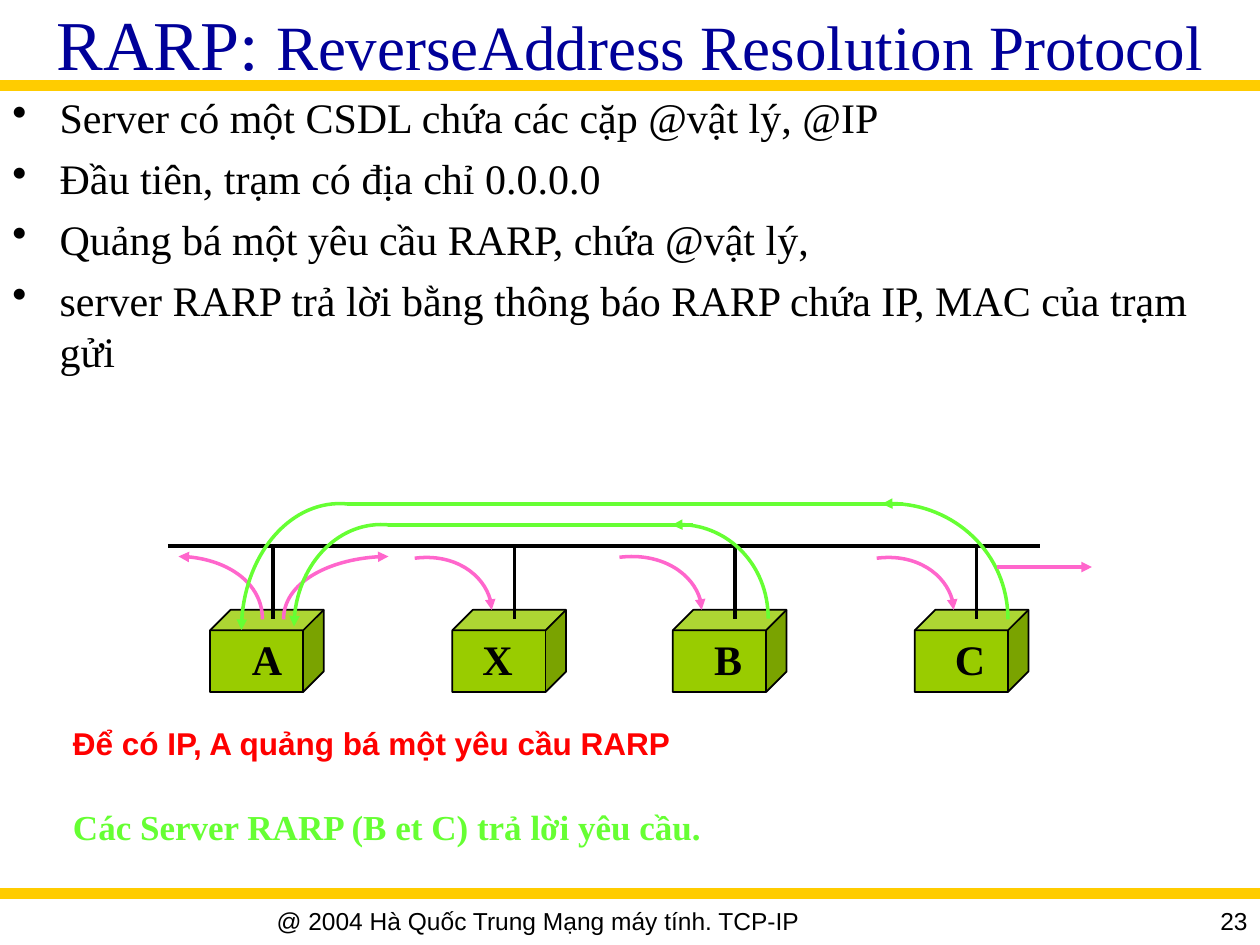
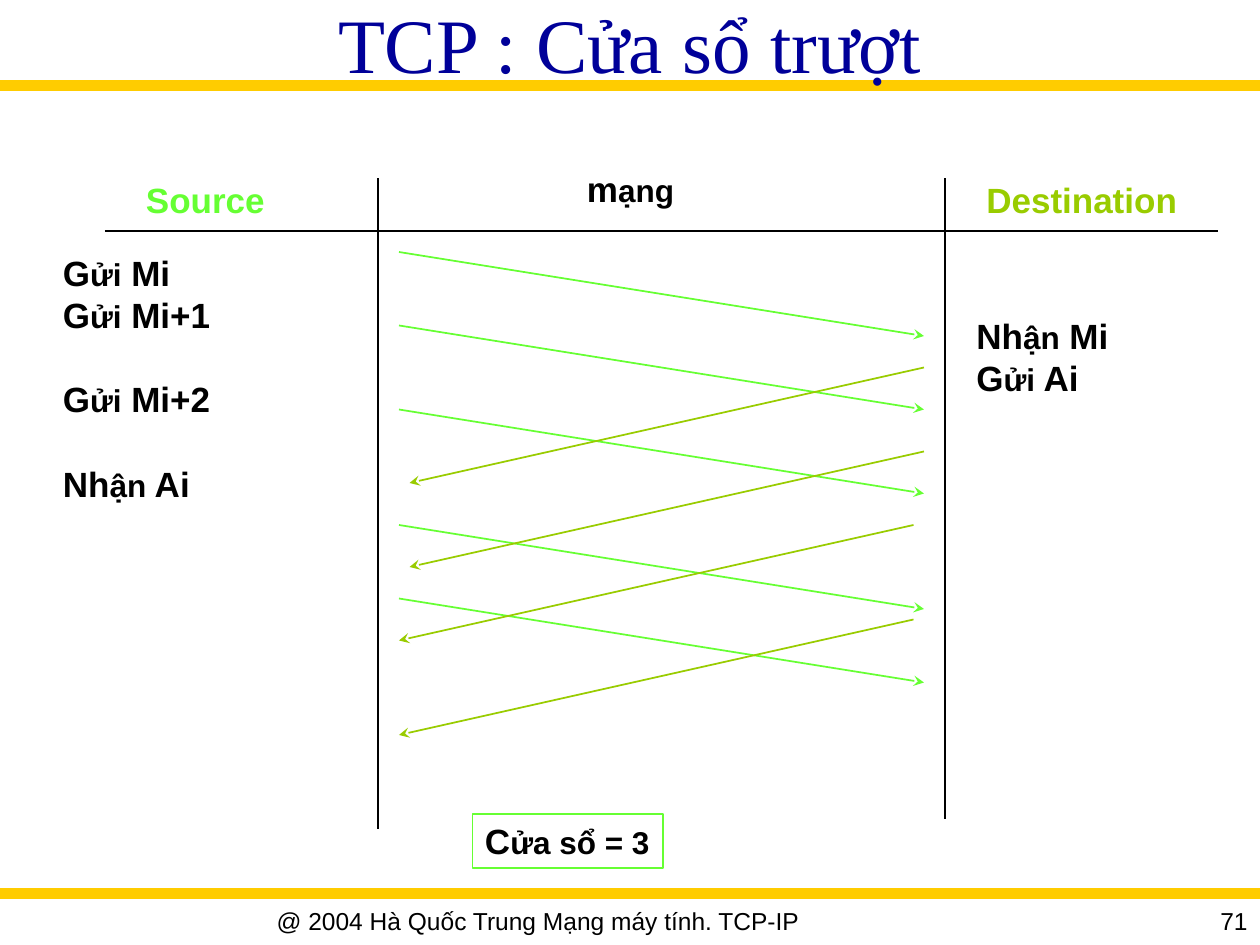
from dataclasses import dataclass
from itertools import cycle

from lxml.etree import SubElement
from pptx import Presentation
from pptx.dml.color import RGBColor
from pptx.enum.shapes import MSO_CONNECTOR, MSO_SHAPE
from pptx.enum.text import MSO_ANCHOR, PP_ALIGN
from pptx.oxml.ns import qn
from pptx.util import Pt

COLORS = {
    "band": "FFCC00",
    "title": "000099",
    "ink": "000000",
    "station": "99CC00",
    "request": "FF66CC",
    "reply": "66FF33",
    "alert": "FF0000",
}
SERIF = "Times New Roman"
SANS = "Arial"
SLIDE_WIDTH = 720
SLIDE_HEIGHT = 540
BUS_Y = 312
MIXED_SIZES = (20, 18)


@dataclass(frozen=True)
class Station:
    label: str
    left: float
    label_left: float
    tap_x: float


@dataclass(frozen=True)
class Arc:
    apex: tuple[float, float]
    foot: tuple[float, float]
    color: str
    arrow_at_apex: bool
    lift: float = 3


@dataclass(frozen=True)
class Caption:
    lines: tuple[str, ...]
    box: tuple[float, float, float, float]
    color: str = "ink"


STATIONS = (
    Station("A", 120, 136.8, 156),
    Station("X", 258.5, 268.6, 294),
    Station("B", 384.5, 401, 420),
    Station("C", 522.7, 538.6, 558),
)

ARCS = (
    Arc((102, 318), (150, 354), "request", True, 0),
    Arc((222, 318), (162, 354), "request", True, 0),
    Arc((237, 319), (281, 348.5), "request", False),
    Arc((354, 318.5), (401, 348.5), "request", False),
    Arc((501, 319), (545, 348.5), "request", False),
    Arc((384, 300), (439, 353.5), "reply", True),
    Arc((222.5, 300), (168, 358), "reply", False),
    Arc((504, 288), (576, 354), "reply", True),
    Arc((198.5, 288), (138, 360), "reply", False),
)

CAPTIONS = (
    Caption(("Source",), (76.3, 98.6, 82.8, 31), "reply"),
    Caption(("m|ạng",), (328.3, 92.2, 64, 31)),
    Caption(("Destination",), (556.5, 98.6, 123.8, 31), "station"),
    Caption(("G|ửi| Mi", "G|ửi| Mi+1"), (28.8, 140.4, 98.6, 55.4)),
    Caption(("G|ửi| Mi+2",), (28.8, 212.4, 98.6, 31)),
    Caption(("Nh|ận| Ai",), (28.8, 260.6, 87.8, 31)),
    Caption(("Nh|ận| Mi", "G|ửi| Ai"), (550.8, 176.4, 90, 55.4)),
)

MESSAGE_STARTS = (144, 186, 234, 300, 342)
ACK_STARTS = ((528, 210), (528, 258), (522, 300), (522, 354))


def rgb(color: str) -> RGBColor:
    return RGBColor.from_string(COLORS[color])


def write(slide, text, box, *, sizes=(24,), font=SERIF, color="ink", bold=False,
          align=PP_ALIGN.LEFT, anchor=MSO_ANCHOR.TOP, wrap=True,
          space_before=0, bulleted=False):
    text_box = slide.shapes.add_textbox(*map(Pt, box))
    frame = text_box.text_frame
    frame.word_wrap = wrap
    frame.vertical_anchor = anchor
    for index, line in enumerate(text.split("\n")):
        paragraph = frame.paragraphs[0] if index == 0 else frame.add_paragraph()
        paragraph.alignment = align
        paragraph.space_before = Pt(space_before)
        if bulleted:
            properties = paragraph._p.get_or_add_pPr()
            properties.set("marL", str(Pt(27)))
            properties.set("indent", str(Pt(-27)))
            SubElement(properties, qn("a:buChar")).set("char", "•")
        for part, size in zip(line.split("|"), cycle(sizes)):
            run = paragraph.add_run()
            run.text = part
            run.font.size = Pt(size)
            run.font.name = font
            run.font.bold = bold
            run.font.color.rgb = rgb(color)
    return text_box


def add_arrowhead(stroke, end: str, style: str) -> None:
    outline = stroke._element.spPr.find(qn("a:ln"))
    SubElement(outline, qn(f"a:{end}")).set("type", style)


def draw_line(slide, start: tuple[float, float], end: tuple[float, float],
              color: str = "ink", width: float = 1, arrow: str = "") -> None:
    line = slide.shapes.add_connector(
        MSO_CONNECTOR.STRAIGHT, *map(Pt, (*start, *end)))
    line.line.color.rgb = rgb(color)
    line.line.width = Pt(width)
    if arrow:
        add_arrowhead(line, "tailEnd", arrow)
    SubElement(line._element.spPr, qn("a:effectLst"))


def draw_arc(slide, arc: Arc) -> None:
    (apex_x, apex_y), (foot_x, foot_y) = arc.apex, arc.foot
    points = (
        (apex_x + 0.52 * (foot_x - apex_x), apex_y - arc.lift),
        (foot_x, foot_y - 0.58 * (foot_y - apex_y)),
        arc.foot,
    )
    builder = slide.shapes.build_freeform(Pt(apex_x), Pt(apex_y))
    builder.add_line_segments([(Pt(x), Pt(y)) for x, y in points], close=False)
    curve = builder.convert_to_shape()
    segments = list(curve._element.iter(qn("a:lnTo")))
    outline = segments[0].getparent()
    bezier = SubElement(outline, qn("a:cubicBezTo"))
    for segment in segments:
        bezier.append(segment[0])
        outline.remove(segment)
    curve.shadow.inherit = False
    curve.fill.background()
    curve.line.color.rgb = rgb(arc.color)
    curve.line.width = Pt(2)
    add_arrowhead(curve, "headEnd" if arc.arrow_at_apex else "tailEnd", "triangle")


def draw_station(slide, station: Station) -> None:
    cube = slide.shapes.add_shape(
        MSO_SHAPE.CUBE, *map(Pt, (station.left, 348.5, 65, 47)))
    cube.shadow.inherit = False
    cube.fill.solid()
    cube.fill.fore_color.rgb = rgb("station")
    cube.line.color.rgb = rgb("ink")
    cube.line.width = Pt(1)
    draw_line(slide, (station.tap_x, BUS_Y), (station.tap_x, 354), width=2)
    write(slide, station.label, (station.label_left, 358.6, 31.5, 36),
          bold=True, wrap=False)


def start_slide(deck, title: str, title_sizes: tuple[int, ...], number: int):
    slide = deck.slides.add_slide(deck.slide_layouts[6])
    for band_y in (49, 510.5):
        draw_line(slide, (0, band_y), (SLIDE_WIDTH, band_y), "band", 6)
    write(slide, title, (0, 0, SLIDE_WIDTH, 49), sizes=title_sizes, color="title",
          align=PP_ALIGN.CENTER, anchor=MSO_ANCHOR.MIDDLE)
    write(slide, "@ 2004 Hà Quốc Trung Mạng máy tính. TCP-IP", (0, 514, 615, 26),
          sizes=(14,), font=SANS, align=PP_ALIGN.CENTER)
    write(slide, str(number), (618, 514, 102, 22),
          sizes=(14,), font=SANS, align=PP_ALIGN.RIGHT)
    return slide


def build_rarp(deck) -> None:
    slide = start_slide(
        deck, "RARP: |ReverseAddress Resolution Protocol", (40, 36), 23)
    write(slide,
          "Server có một CSDL chứa các cặp @vật lý, @IP\n"
          "Đầu tiên, trạm có địa chỉ 0.0.0.0\n"
          "Quảng bá một yêu cầu RARP, chứa @vật lý,\n"
          "server RARP trả lời bằng thông báo RARP chứa IP, MAC của trạm gửi",
          (0, 49, SLIDE_WIDTH, 459), space_before=6, bulleted=True)
    draw_line(slide, (96, BUS_Y), (594, BUS_Y), width=2)
    for station in STATIONS:
        draw_station(slide, station)
    for arc in ARCS:
        draw_arc(slide, arc)
    draw_line(slide, (570, 324), (624, 324), "request", 2, "triangle")
    draw_line(slide, (396, 300), (222, 300), "reply", 2)
    draw_line(slide, (516, 288), (198, 288), "reply", 2)
    write(slide, "Để có IP, A quảng bá một yêu cầu RARP", (34.6, 410.4, 630, 28),
          sizes=(18,), font=SANS, color="alert", bold=True)
    write(slide, "Các Server RARP (B et C) trả lời yêu cầu.", (34.6, 457, 630, 30),
          sizes=(20,), color="reply", bold=True)


def build_sliding_window(deck) -> None:
    slide = start_slide(deck, "TCP : Cửa sổ trượt", (44,), 71)
    draw_line(slide, (60, 132), (696, 132))
    draw_line(slide, (216, 102), (216, 474))
    draw_line(slide, (540, 102), (540, 468))
    for caption in CAPTIONS:
        write(slide, "\n".join(caption.lines), caption.box, sizes=MIXED_SIZES,
              font=SANS, color=caption.color, bold=True, wrap=False)
    for y in MESSAGE_STARTS:
        draw_line(slide, (228, y), (528, y + 48), "reply", arrow="stealth")
    for x, y in ACK_STARTS:
        draw_line(slide, (x, y), (x - 294, y + 66), "station", arrow="stealth")
    window = write(slide, "C|ửa sổ = 3", (270, 465, 108.7, 31), sizes=MIXED_SIZES,
                   font=SANS, bold=True, wrap=False)
    window.line.color.rgb = rgb("reply")
    window.line.width = Pt(1)


def main() -> None:
    deck = Presentation()
    deck.slide_width = Pt(SLIDE_WIDTH)
    deck.slide_height = Pt(SLIDE_HEIGHT)
    build_rarp(deck)
    build_sliding_window(deck)
    deck.save("out.pptx")


if __name__ == "__main__":
    main()
